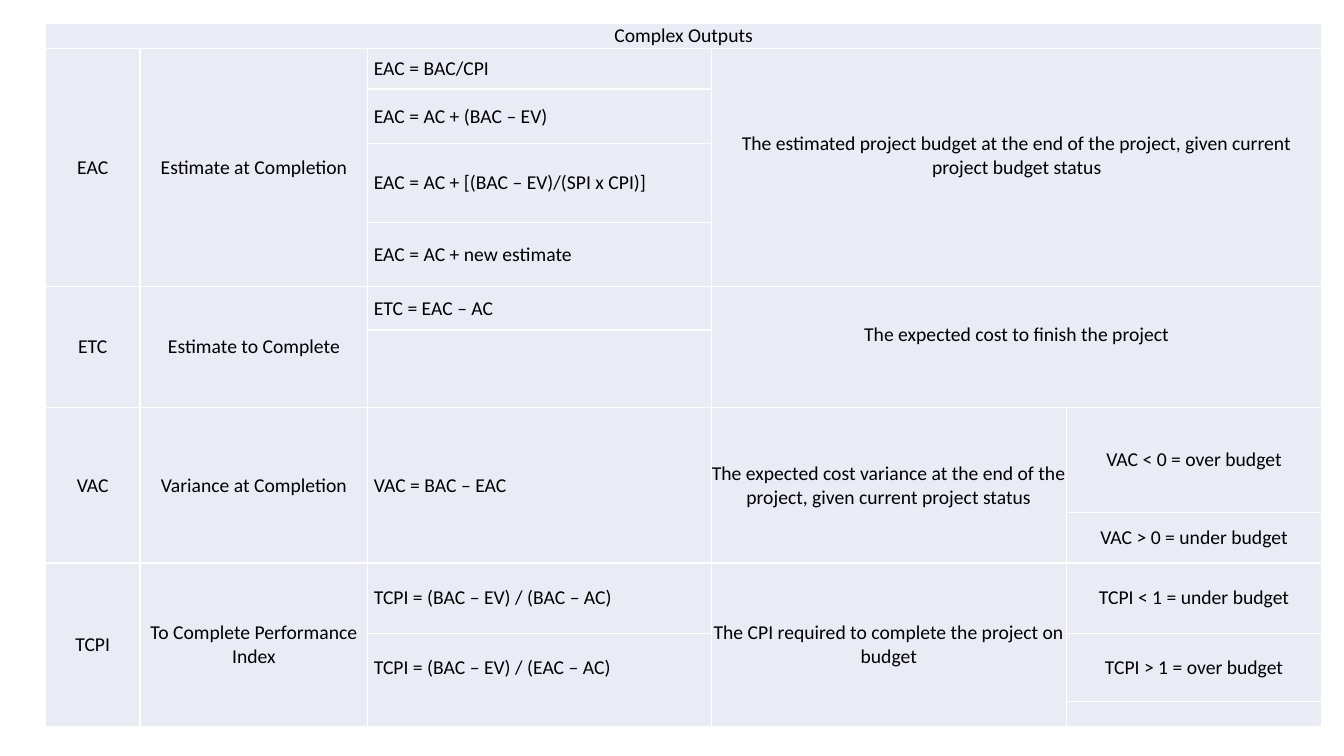
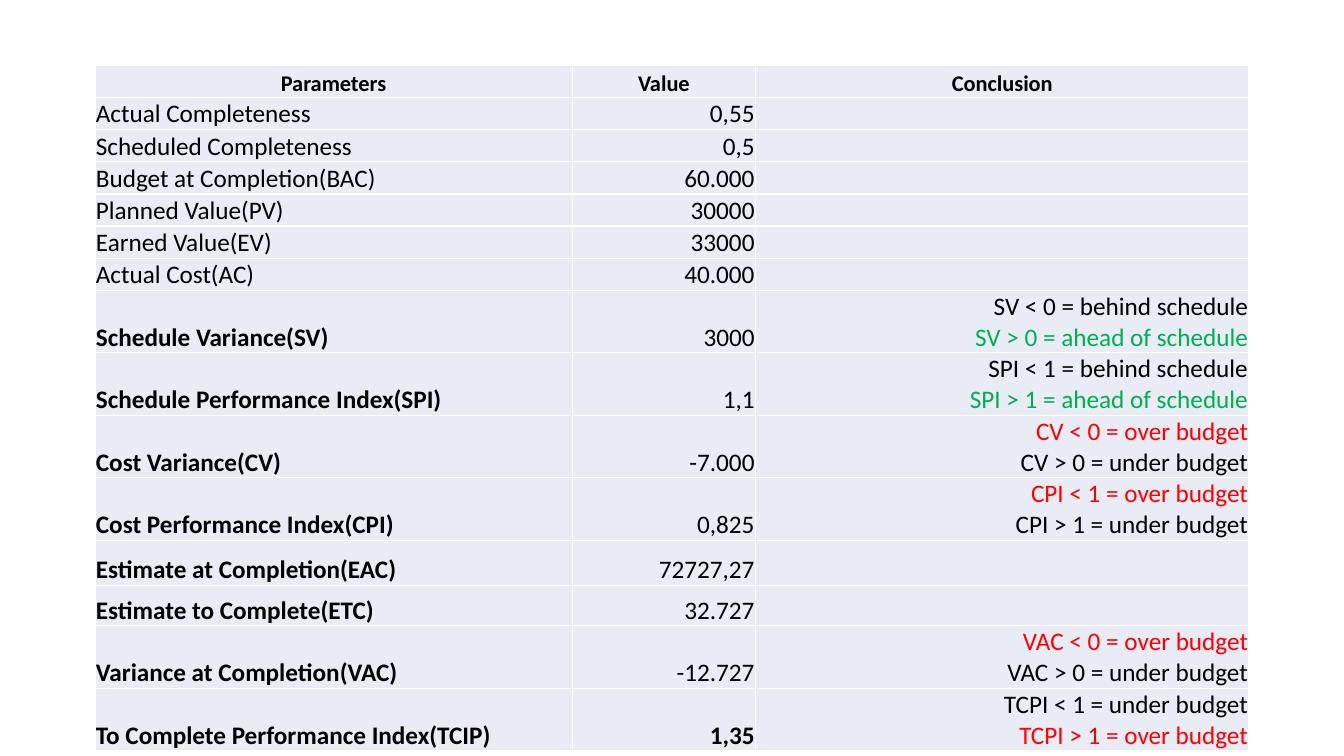
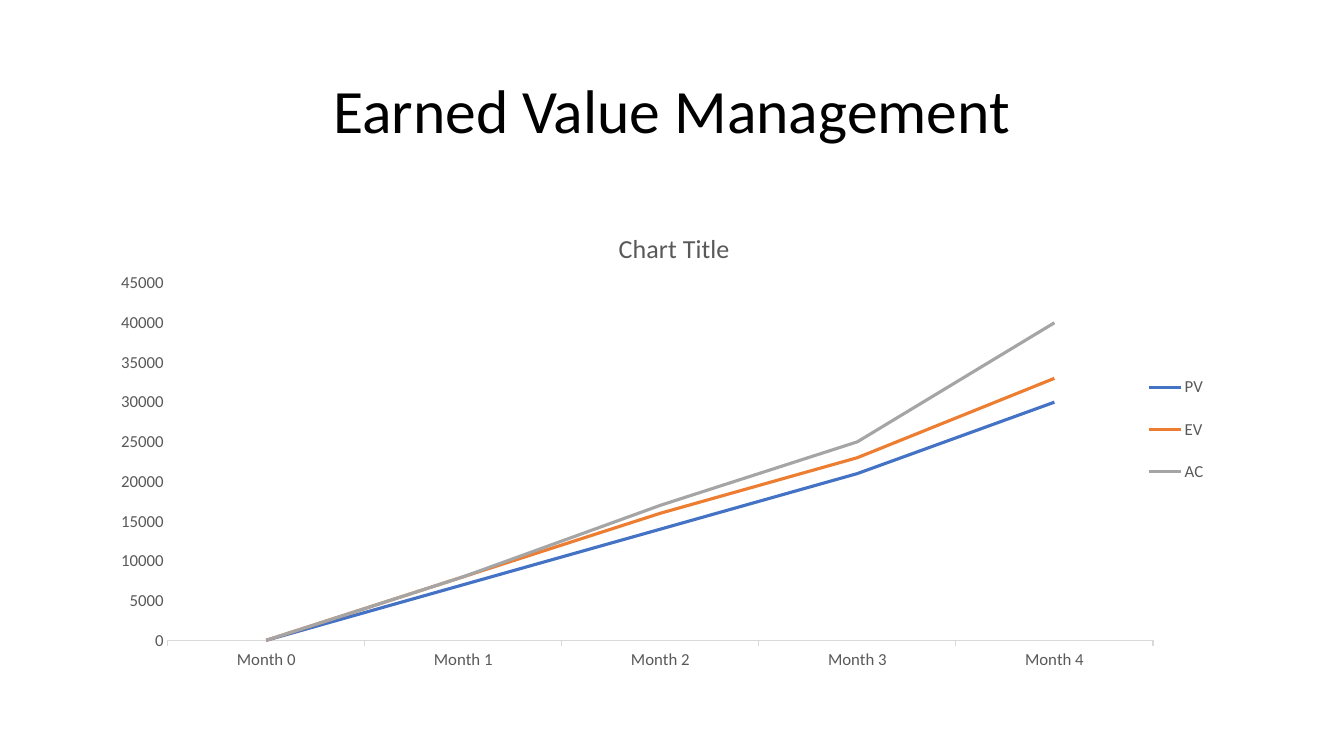
"""Builds three slides on earned value management: formulas, results and trend."""
from dataclasses import dataclass
from itertools import product

import pptx
import pptx.chart.data
import pptx.dml.color
import pptx.enum.chart
import pptx.enum.text
import pptx.oxml.ns
import pptx.util
from lxml import etree


@dataclass(frozen=True)
class Theme:
    font: str = "Calibri"
    ink: str = "000000"
    muted: str = "595959"
    axis: str = "D9D9D9"
    cell: str = "E9EBF5"
    rule: str = "FFFFFF"
    good: str = "00B050"
    bad: str = "FF0000"
    series: tuple = ("4472C4", "ED7D31", "A5A5A5")
    title: float = 44
    chart_title: float = 18.6
    figure: float = 18
    heading: float = 16
    body: float = 14
    label: float = 12


theme = Theme()
rgb = pptx.dml.color.RGBColor.from_string
qn = pptx.oxml.ns.qn
Pt = pptx.util.Pt
Inches = pptx.util.Inches
LEFT, CENTER, RIGHT = (getattr(pptx.enum.text.PP_ALIGN, side) for side in ("LEFT", "CENTER", "RIGHT"))
MIDDLE, BOTTOM = pptx.enum.text.MSO_ANCHOR.MIDDLE, pptx.enum.text.MSO_ANCHOR.BOTTOM

deck = pptx.Presentation()
deck.slide_width, deck.slide_height = Inches(13.33), Inches(7.5)
COL, ROW = deck.slide_width / 160, deck.slide_height / 90


def write(holder, text, size=theme.body, bold=False, colors=(theme.ink,), align=CENTER,
          anchor=MIDDLE, margins=(0, 0, 0, 0), spacing=None):
    """Fill a cell or text frame with one paragraph per line; colors go line by line."""
    holder.vertical_anchor = anchor
    holder.margin_left, holder.margin_top, holder.margin_right, holder.margin_bottom = map(Inches, margins)
    holder.word_wrap = True
    frame = getattr(holder, "text_frame", holder)
    for number, line in enumerate(text.split("\n")):
        paragraph = frame.add_paragraph() if number else frame.paragraphs[0]
        paragraph.alignment = align
        paragraph.line_spacing = spacing
        if not line:
            etree.SubElement(paragraph._p, qn("a:endParaRPr"), sz=str(int(size * 100)))
            continue
        run = paragraph.add_run()
        run.text = line
        run.font.name, run.font.size, run.font.bold = theme.font, Pt(size), bold
        run.font.color.rgb = rgb(colors[number % len(colors)])


def draw_table(slide, box, columns, rows, entries):
    """Add a ruled table; columns and rows are weights, entries map (row, column) to cell format."""
    left, top, width, height = box
    grid = slide.shapes.add_table(len(rows), len(columns), int(left * COL), int(top * ROW),
                                  int(width * COL), int(height * ROW)).table
    grid.first_row = grid.horz_banding = False
    for column, weight in zip(grid.columns, columns):
        column.width = int(width * COL * weight / sum(columns))
    for row, weight in zip(grid.rows, rows):
        row.height = int(height * ROW * weight / sum(rows))
    for r, c in product(range(len(rows)), range(len(columns))):
        cell = grid.cell(r, c)
        cell.fill.solid()
        cell.fill.fore_color.rgb = rgb(theme.cell)
        for order, side in enumerate(("a:lnL", "a:lnR", "a:lnT", "a:lnB")):
            line = etree.Element(qn(side), w=str(Pt(1)))
            paint = etree.SubElement(line, qn("a:solidFill"))
            etree.SubElement(paint, qn("a:srgbClr"), val=theme.rule)
            cell._tc.tcPr.insert(order, line)
        entry = dict(entries.get((r, c), {"text": ""}))
        down, across = entry.pop("span", (1, 1))
        write(cell, **entry)
        if (down, across) != (1, 1):
            cell.merge(grid.cell(r + down - 1, c + across - 1))


blank = deck.slide_layouts[6]

outputs = {(0, 0): dict(text="Complex Outputs", span=(1, 5))}
for row, depth, short, name in (
    (1, 4, "EAC", "Estimate at Completion"),
    (5, 2, "ETC", "Estimate to Complete"),
    (7, 2, "VAC", "Variance at Completion"),
    (9, 3, "TCPI", "To Complete Performance Index"),
):
    outputs[row, 0] = dict(text=short, span=(depth, 1))
    outputs[row, 1] = dict(text=name, span=(depth, 1))
for row, depth, formula, below in (
    (1, 1, "EAC = BAC/CPI", 0),
    (2, 1, "EAC = AC + (BAC – EV)", 0),
    (3, 1, "EAC = AC + [(BAC – EV)/(SPI x CPI)]", 0),
    (4, 1, "EAC = AC + new estimate", 0),
    (5, 1, "ETC = EAC – AC", 0),
    (7, 2, "VAC = BAC – EAC", 0),
    (9, 1, "TCPI = (BAC – EV) / (BAC – AC)", 0),
    (10, 2, "TCPI = (BAC – EV) / (EAC – AC)", 0.24),
):
    outputs[row, 2] = dict(text=formula, span=(depth, 1), align=LEFT, margins=(0.06, 0, 0, below))
for row, span, meaning, below in (
    (1, (4, 2), "The estimated project budget at the end of the project, given current project budget status", 0.24),
    (5, (2, 2), "The expected cost to finish the project", 0.24),
    (7, (2, 1), "The expected cost variance at the end of the project, given current project status", 0),
    (9, (3, 1), "The CPI required to complete the project on budget", 0),
):
    outputs[row, 3] = dict(text=meaning, span=span, margins=(0, 0, 0, below))
for row, verdict in (
    (7, "VAC < 0 = over budget"),
    (8, "VAC > 0 = under budget"),
    (9, "TCPI < 1 = under budget"),
    (10, "TCPI > 1 = over budget"),
):
    outputs[row, 4] = dict(text=verdict)
draw_table(deck.slides.add_slide(blank), (5.4, 2.8, 152, 83.7), (0.94, 2.26, 3.41, 3.52, 2.54),
           (0.25, 0.4, 0.54, 0.78, 0.64, 0.43, 0.77, 1.04, 0.5, 0.7, 0.67, 0.25), outputs)

ahead, over, under = (theme.ink, theme.good), (theme.bad, theme.ink), (theme.ink, theme.bad)
parameters = (
    ("Actual Completeness", "0,55", "", ()),
    ("Scheduled Completeness", "0,5", "", ()),
    ("Budget at Completion(BAC)", "60.000", "", ()),
    ("Planned Value(PV)", "30000", "", ()),
    ("Earned Value(EV)", "33000", "", ()),
    ("Actual Cost(AC)", "40.000", "", ()),
    ("Schedule Variance(SV)", "3000", "SV < 0 = behind schedule\nSV > 0 = ahead of schedule", ahead),
    ("Schedule Performance Index(SPI)", "1,1", "SPI < 1 = behind schedule\nSPI > 1 = ahead of schedule", ahead),
    ("Cost Variance(CV)", "-7.000", "CV < 0 = over budget\nCV > 0 = under budget", over),
    ("Cost Performance Index(CPI)", "0,825", "CPI < 1 = over budget\nCPI > 1 = under budget", over),
    ("Estimate at Completion(EAC)", "72727,27", "", ()),
    ("Estimate to Complete(ETC)", "32.727", "", ()),
    ("Variance at Completion(VAC)", "-12.727", "VAC < 0 = over budget\nVAC > 0 = under budget", over),
    ("To Complete Performance Index(TCIP)", "1,35", "TCPI < 1 = under budget\nTCPI > 1 = over budget", under),
)
snug = dict(anchor=BOTTOM, margins=(0.01, 0.01, 0.01, 0))
results = {(0, c): dict(text=heading, size=theme.heading, bold=True, **snug)
           for c, heading in enumerate(("Parameters", "Value", "Conclusion"))}
for row, (name, value, conclusion, colors) in enumerate(parameters, 1):
    figure = dict(size=theme.figure, **snug)
    results[row, 0] = dict(text=name, bold=row > 6, align=LEFT, **figure)
    results[row, 1] = dict(text=value, bold=row == len(parameters), align=RIGHT, **figure)
    results[row, 2] = dict(text=conclusion, colors=colors, align=RIGHT, **figure)
draw_table(deck.slides.add_slide(blank), (11.3, 7.8, 137.4, 81.4), (4.74, 1.82, 4.9),
           [0.32] * 7 + [0.62] * 4 + [0.45, 0.4] + [0.62] * 2, results)

trend = deck.slides.add_slide(blank)
title = trend.shapes.add_textbox(int(11 * COL), int(4.8 * ROW), int(138 * COL), int(17.4 * ROW))
write(title.text_frame, "Earned Value Management", size=theme.title, margins=(0.1, 0.05, 0.1, 0.05), spacing=0.9)

monthly = pptx.chart.data.CategoryChartData(number_format="General")
monthly.categories = [f"Month {month}" for month in range(5)]
monthly.add_series("PV", (0, 7000, 14000, 21000, 30000))
monthly.add_series("EV", (0, 8000, 16000, 23000, 33000))
monthly.add_series("AC", (0, 8000, 17000, 25000, 40000))
chart = trend.shapes.add_chart(pptx.enum.chart.XL_CHART_TYPE.LINE, int(11 * COL), int(24 * ROW),
                               int(138 * COL), int(57.1 * ROW), monthly).chart
chart.font.name, chart.font.size = theme.font, Pt(theme.label)
chart.font.color.rgb = rgb(theme.muted)
chart.has_title = True
write(chart.chart_title.text_frame, "Chart Title", size=theme.chart_title, colors=(theme.muted,))
chart.has_legend = True
chart.legend.position = pptx.enum.chart.XL_LEGEND_POSITION.RIGHT
chart.legend.include_in_layout = False
chart.plots[0].vary_by_categories = False
for series, color in zip(chart.plots[0].series, theme.series):
    series.smooth = False
    series.marker.style = pptx.enum.chart.XL_MARKER_STYLE.NONE
    series.format.line.width = Pt(2.25)
    series.format.line.color.rgb = rgb(color)
chart.category_axis.format.line.color.rgb = rgb(theme.axis)
chart.category_axis.format.line.width = Pt(0.75)
chart.category_axis.major_tick_mark = pptx.enum.chart.XL_TICK_MARK.OUTSIDE
chart.value_axis.has_major_gridlines = False
chart.value_axis.format.line.fill.background()
chart.value_axis.major_tick_mark = pptx.enum.chart.XL_TICK_MARK.NONE
chart.value_axis.minimum_scale, chart.value_axis.maximum_scale = 0, 45000
chart.value_axis.major_unit = 5000
chart.value_axis.tick_labels.number_format = "General"
chart.value_axis.tick_labels.number_format_is_linked = False

chart_space = chart._chartSpace.chart
for part, order, shares in (
    ("c:title", 1, dict(x=0.45, y=0.05)),
    ("c:plotArea", 0, dict(x=0.065, y=0.17, w=0.85, h=0.745)),
    ("c:legend", 1, dict(x=0.9, y=0.32, w=0.07, h=0.31)),
):
    element = chart_space.find(qn(part))
    for automatic in element.findall(qn("c:layout")):
        element.remove(automatic)
    layout = etree.Element(qn("c:layout"))
    element.insert(order, layout)
    manual = etree.SubElement(layout, qn("c:manualLayout"))
    if part == "c:plotArea":
        etree.SubElement(manual, qn("c:layoutTarget"), val="inner")
    for axis in "xy":
        etree.SubElement(manual, qn(f"c:{axis}Mode"), val="edge")
    for length, share in shares.items():
        etree.SubElement(manual, qn(f"c:{length}"), val=str(share))

deck.save("out.pptx")
